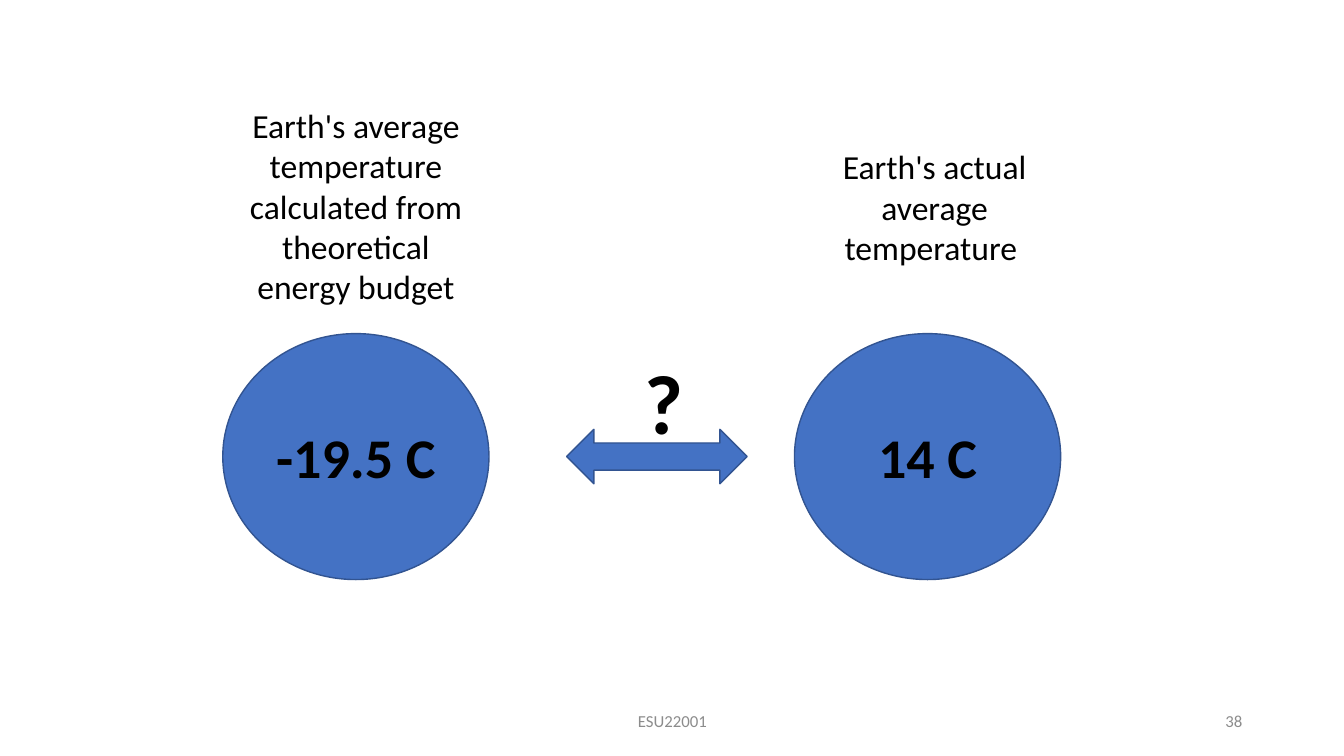
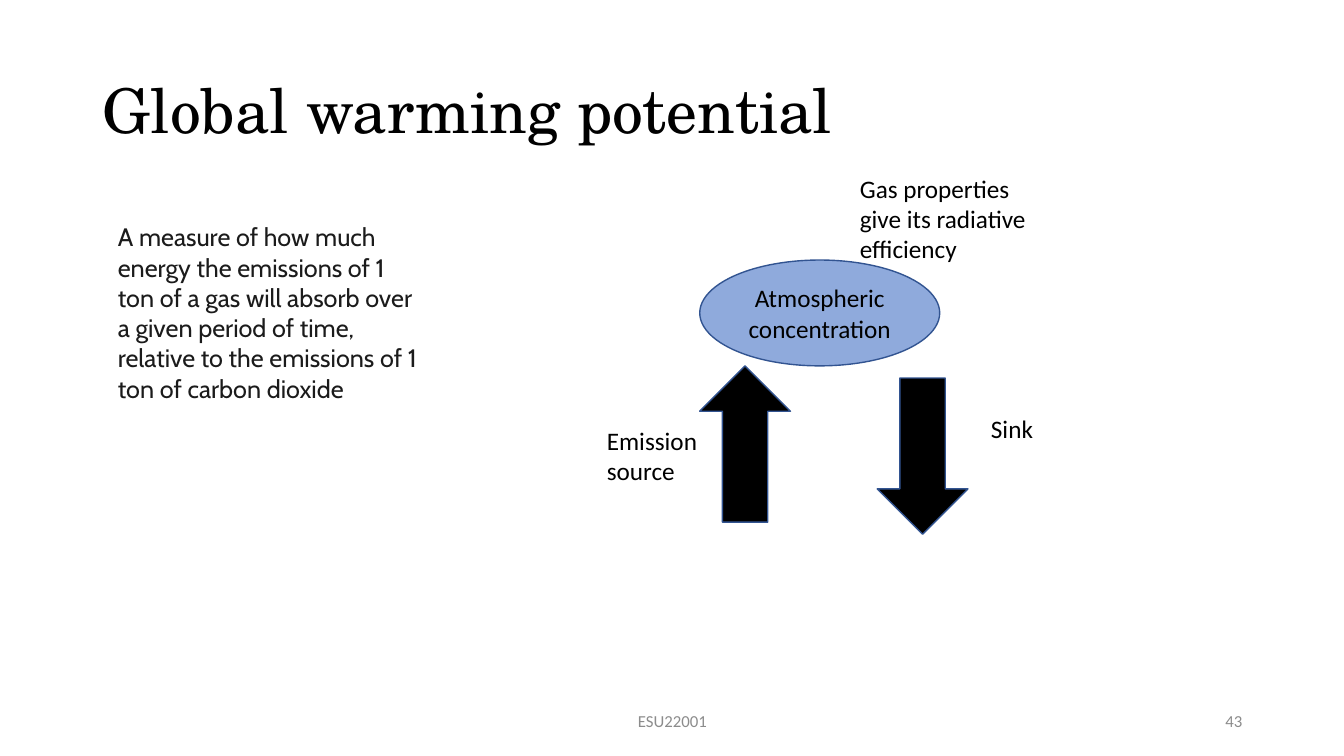
from pptx import Presentation
from pptx.dml.color import RGBColor
from pptx.enum.shapes import MSO_SHAPE
from pptx.enum.text import MSO_ANCHOR, PP_ALIGN
from pptx.util import Inches, Pt

BLACK, GREY, INK = "000000", "8C8C8C", "1B1B1B"
BLUE, PALE, EDGE = "4472C4", "8FAADC", "325491"
LEFT, MID, RIGHT = PP_ALIGN.LEFT, PP_ALIGN.CENTER, PP_ALIGN.RIGHT


def write(box, text, size, align=LEFT, bold=False, font="Calibri",
          color=BLACK, anchor=MSO_ANCHOR.TOP):
    frame = box.text_frame
    frame.word_wrap = True
    frame.vertical_anchor = anchor
    par = frame.paragraphs[0]
    par.alignment = align
    run = par.add_run()
    run.text = text
    run.font.size = Pt(size)
    run.font.bold = bold
    run.font.name = font
    run.font.color.rgb = RGBColor.from_string(color)
    return par


def draw(slide, kind, place, fill):
    shape = slide.shapes.add_shape(kind, *map(Inches, place))
    shape.shadow.inherit = False
    shape.fill.solid()
    shape.fill.fore_color.rgb = RGBColor.from_string(fill)
    shape.line.color.rgb = RGBColor.from_string(EDGE)
    shape.line.width = Pt(1)
    return shape


deck = Presentation()
deck.slide_width, deck.slide_height = Inches(13.33), Inches(7.5)
temps = deck.slides.add_slide(deck.slide_layouts[6])
gases = deck.slides.add_slide(deck.slide_layouts[5])

globes = [
    (2.21, "-19.5 C", (2.29, 0.99, 2.48, 2.12),
     "Earth's average temperature calculated from theoretical energy budget"),
    (7.88, "14 C", (8.03, 1.4, 2.48, 1.31),
     "Earth's actual average temperature "),
]
for left, value, place, label in globes:
    note = temps.shapes.add_textbox(*map(Inches, place))
    write(note, label, 24, MID)
    globe = draw(temps, MSO_SHAPE.OVAL, (left, 3.31, 2.64, 2.44), BLUE)
    write(globe, value, 40, MID, bold=True, anchor=MSO_ANCHOR.MIDDLE)

draw(temps, MSO_SHAPE.LEFT_RIGHT_ARROW, (5.62, 4.26, 1.79, 0.54), BLUE)
query = temps.shapes.add_textbox(*map(Inches, (6.29, 3.43, 0.72, 1.11)))
write(query, "?", 60, bold=True)

title = gases.shapes.title
title.left, title.top, title.width, title.height = map(
    Inches, (0.92, 0.4, 11.5, 1.45))
head = write(title, "Global warming potential", 44,
             font="TeX Gyre Schola", anchor=MSO_ANCHOR.MIDDLE)
head.line_spacing = 0.9

about = gases.shapes.add_textbox(*map(Inches, (1.07, 2.15, 3.25, 1.92)))
write(about, "A measure of how much energy the emissions of 1 ton of a gas "
      "will absorb over a given period of time, relative to the emissions "
      "of 1 ton of carbon dioxide", 18, font="Cabin", color=INK)

cloud = draw(gases, MSO_SHAPE.OVAL, (6.94, 2.58, 2.38, 1.05), PALE)
write(cloud, "Atmospheric concentration", 18, MID, anchor=MSO_ANCHOR.MIDDLE)

for left, top, turn in [(6.94, 3.63, 0), (8.7, 3.75, 180)]:
    arrow = draw(gases, MSO_SHAPE.UP_ARROW, (left, top, 0.9, 1.55), BLACK)
    arrow.rotation = turn

labels = [
    ((5.92, 4.17, 1.18, 0.71), "Emission source"),
    ((9.73, 4.05, 1.18, 0.4), "Sink"),
    ((8.43, 1.67, 1.91, 1.01), "Gas properties give its radiative efficiency"),
]
for place, label in labels:
    note = gases.shapes.add_textbox(*map(Inches, place))
    write(note, label, 18)

for slide, number in [(temps, "38"), (gases, "43")]:
    for left, width, text, align in [(4.42, 4.5, "ESU22001", MID),
                                     (9.42, 3, number, RIGHT)]:
        foot = slide.shapes.add_textbox(
            *map(Inches, (left, 6.95, width, 0.4)))
        write(foot, text, 12, align, color=GREY, anchor=MSO_ANCHOR.MIDDLE)

deck.save("out.pptx")
